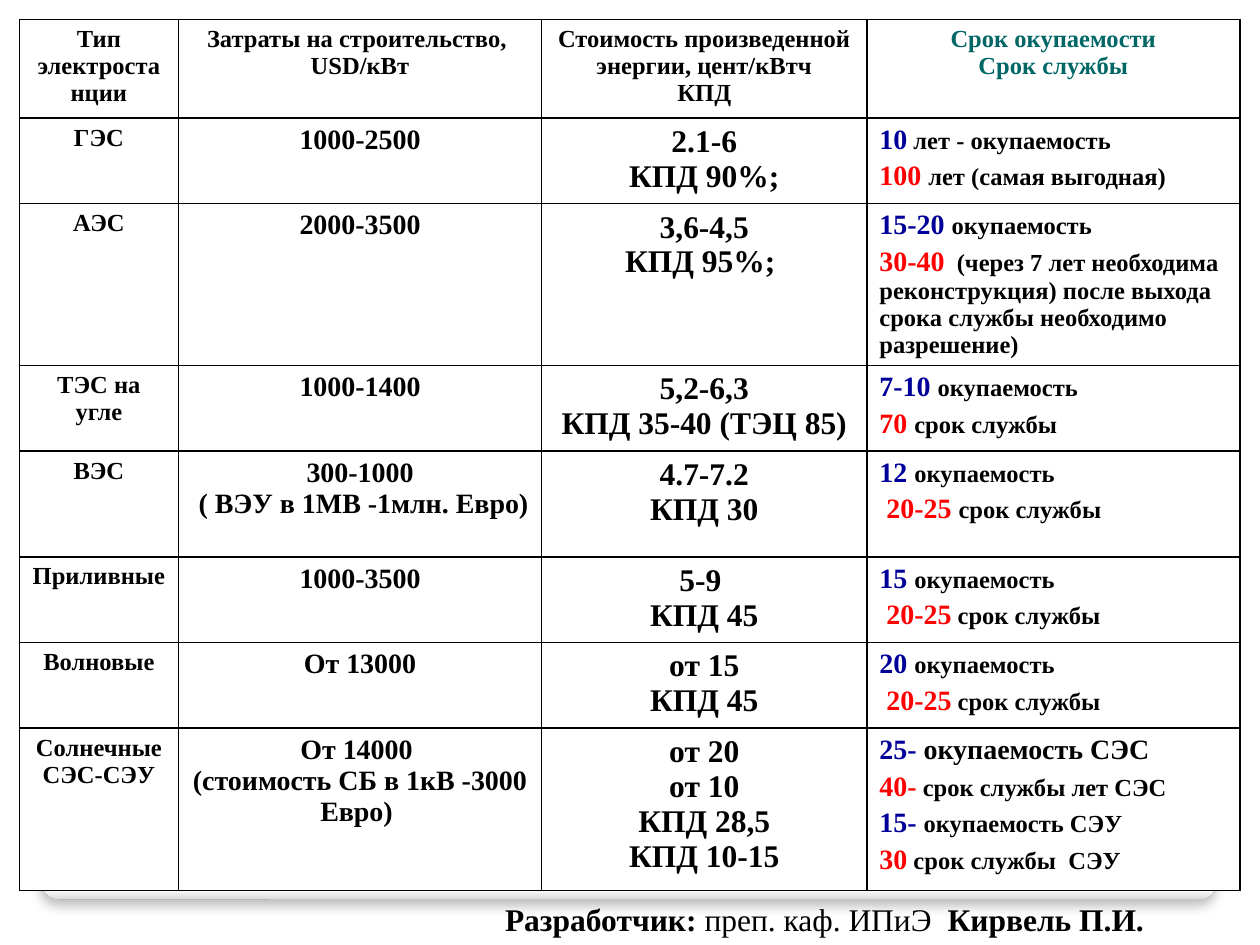
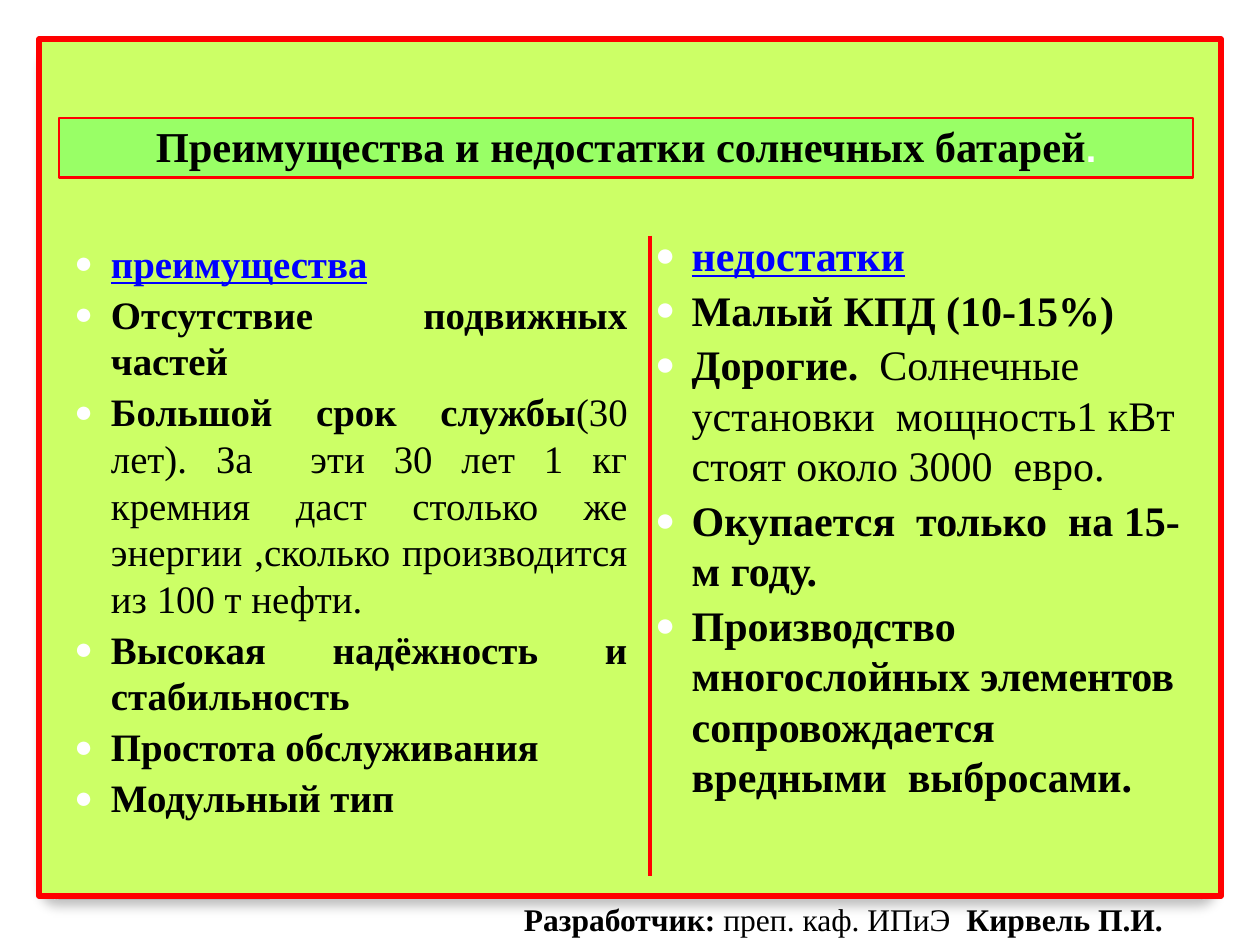
"""Builds two slides on power plant costs and on the pros and cons of solar panels."""
import pptx
import pptx.dml.color
import pptx.enum.shapes
import pptx.enum.text
import pptx.oxml
import pptx.oxml.ns
import pptx.util

SLIDE_WIDTH, SLIDE_HEIGHT = pptx.util.Inches(10), pptx.util.Inches(7.5)
ALIGN = pptx.enum.text.PP_ALIGN
ANCHOR = pptx.enum.text.MSO_ANCHOR
SHAPE = pptx.enum.shapes.MSO_SHAPE

THEME = {
    "font": "Times New Roman",
    "bullet_font": "Arial",
    "colors": {
        "text": "000000", "paper": "FFFFFF", "header": "006666", "payback": "000099",
        "service": "FF0000", "heading": "0000FF", "accent": "FF0000",
        "panel": "CCFF66", "title": "99FF66", "card_line": "A4A4A4",
    },
    "sizes": {
        "label": 14, "cost": 16, "energy": 18, "footer": 18, "title": 24.3,
        "title_dot": 21.6, "advantages": 22.2, "disadvantages": 24,
    },
    "card_stops": [(0, "FFFFFF"), (98, "FFFFFF"), (99, "F7F7F7"), (100, "DADADA")],
}

TABLE_CORNER = (1.55, 2.08)
COLUMN_SHARES = (12.6, 28.85, 25.8, 29.6)
ROW_SHARES = (10.4, 9.07, 17.07, 9.07, 11.2, 9.07, 9.07, 17.2)
HEADERS = (
    ["Тип электростанции"],
    ["Затраты на строительство, ", "USD/кВт"],
    ["Стоимость произведенной энергии, цент/кВтч", "КПД"],
    ["Срок окупаемости", "Срок службы"],
)
PLANTS = (
    (["ГЭС"], ["1000-2500"], ["2.1-6", "КПД 90%;"],
     [("10", " лет - окупаемость"), ("100 ", "лет (самая выгодная)")]),
    (["АЭС"], ["2000-3500"], ["3,6-4,5", "КПД 95%; "],
     [("15-20 ", "окупаемость"),
      ("30-40", "  (через 7 лет необходима реконструкция) после выхода "
                "срока службы необходимо разрешение)")]),
    (["ТЭС на угле"], ["1000-1400"], ["5,2-6,3", "КПД 35-40 (ТЭЦ 85)"],
     [("7-10 ", "окупаемость"), ("70 ", "срок службы")]),
    (["ВЭС"], ["300-1000", " ( ВЭУ в 1МВ -1млн. Евро)"], ["4.7-7.2", "КПД 30"],
     [("12 ", "окупаемость"), (" 20-25 ", "срок службы")]),
    (["Приливные"], ["1000-3500"], ["5-9 ", "КПД 45"],
     [("15 ", "окупаемость"), (" 20-25", " срок службы")]),
    (["Волновые"], ["От 13000"], ["от 15", "КПД 45"],
     [("20 ", "окупаемость"), (" 20-25", " срок службы")]),
    (["Солнечные", "СЭС-СЭУ"], ["От 14000 ", "(стоимость СБ в 1кВ -3000 Евро) "],
     ["от 20", "от 10", "КПД 28,5", "КПД 10-15"],
     [("25- ", "окупаемость СЭС", "cost"), ("40-", " срок службы лет СЭС"),
      ("15- ", "окупаемость СЭУ"), ("30", " срок службы  СЭУ")]),
)

TITLE = "Преимущества и недостатки солнечных батарей"
LISTS = (
    {"size": "advantages", "box": (3.9, 24, 46.9, 59.33), "align": ALIGN.JUSTIFY,
     "heading": "преимущества",
     "items": [
         ("Отсутствие подвижных частей", ""),
         ("Большой срок службы",
          "(30 лет). За  эти 30 лет 1 кг кремния даст столько же энергии "
          ",сколько производится из 100 т нефти."),
         ("Высокая надёжность и стабильность", ""),
         ("Простота обслуживания", ""),
         ("Модульный тип", "")]},
    {"size": "disadvantages", "box": (50, 22.93, 45.3, 64.53), "align": ALIGN.LEFT,
     "heading": "недостатки",
     "items": [
         ("Малый КПД (10-15%)", ""),
         ("Дорогие.  ", "Солнечные установки  мощность1 кВт  стоят около 3000  евро."),
         ("Окупается  только  на 15-м году.", ""),
         ("Производство многослойных элементов сопровождается  вредными  выбросами.", "")]},
)
FOOTER = (("Разработчик: ", True), ("преп. каф. ИПиЭ  ", False), ("Кирвель П.И.", True))


def across(share):
    return int(SLIDE_WIDTH * share / 100)


def down(share):
    return int(SLIDE_HEIGHT * share / 100)


def place(left, top, width, height):
    return across(left), down(top), across(width), down(height)


def color(name):
    return pptx.dml.color.RGBColor.from_string(THEME["colors"][name])


def set_format(target, values):
    for name, value in values.items():
        setattr(target, name, value)


def xml(markup):
    tag, rest = markup[1:].split(" ", 1)
    return pptx.oxml.parse_xml(f"<{tag} {pptx.oxml.ns.nsdecls('a')} {rest}")


def add_run(paragraph, text, size, ink="text", **values):
    run = paragraph.add_run()
    run.text = text
    set_format(run.font, {"name": THEME["font"], "size": pptx.util.Pt(THEME["sizes"][size]),
                          "bold": True, **values})
    run.font.color.rgb = color(ink)


def paragraphs(frame, count):
    return [frame.paragraphs[0]] + [frame.add_paragraph() for _ in range(count - 1)]


def add_box(slide, kind, box, fill, line, width):
    shape = slide.shapes.add_shape(kind, *place(*box))
    shape.shadow.inherit = False
    shape.fill.solid()
    shape.fill.fore_color.rgb = color(fill)
    shape.line.color.rgb = color(line)
    shape.line.width = pptx.util.Pt(width)
    return shape


def add_card(slide):
    card = add_box(slide, SHAPE.ROUNDED_RECTANGLE, (3.3, 4.8, 93.3, 90.4),
                   "paper", "card_line", 0.16)
    card.adjustments[0] = 0.02
    stops = "".join(f'<a:gs pos="{position * 1000}"><a:srgbClr val="{tone}"/></a:gs>'
                    for position, tone in THEME["card_stops"])
    properties = card.element.spPr
    solid = properties.find(pptx.oxml.ns.qn("a:solidFill"))
    properties.replace(solid, xml(
        f'<a:gradFill rotWithShape="1"><a:gsLst>{stops}</a:gsLst>'
        '<a:lin ang="5400000" scaled="0"/></a:gradFill>'))
    effects = properties.find(pptx.oxml.ns.qn("a:effectLst"))
    effects.append(xml(
        f'<a:outerShdw blurRad="{pptx.util.Pt(6)}" dist="{pptx.util.Pt(4)}" dir="5400000" '
        'algn="t" rotWithShape="0"><a:srgbClr val="000000"><a:alpha val="25000"/>'
        '</a:srgbClr></a:outerShdw>'))


def add_footer(slide, left):
    frame = slide.shapes.add_textbox(*place(left, 94.6, 55.5, 5.33)).text_frame
    frame.word_wrap = True
    for text, bold in FOOTER:
        add_run(frame.paragraphs[0], text, "footer", bold=bold)


def style_cell(cell):
    cell.fill.solid()
    cell.fill.fore_color.rgb = color("paper")
    properties = cell._tc.get_or_add_tcPr()
    for index, side in enumerate(("lnL", "lnR", "lnT", "lnB")):
        properties.insert(index, xml(
            f'<a:{side} w="{pptx.util.Pt(1)}"><a:solidFill>'
            f'<a:srgbClr val="{THEME["colors"]["text"]}"/></a:solidFill></a:{side}>'))


def fill_lines(cell, lines, size, ink="text"):
    for paragraph, line in zip(paragraphs(cell.text_frame, len(lines)), lines):
        paragraph.alignment = ALIGN.CENTER
        add_run(paragraph, line, size, ink)


def fill_terms(cell, terms):
    for index, paragraph in enumerate(paragraphs(cell.text_frame, len(terms))):
        years, label, *label_size = terms[index]
        if index:
            paragraph.space_before = pptx.util.Pt(3.2)
        add_run(paragraph, years, "cost", ("payback", "service")[index % 2])
        add_run(paragraph, label, *(label_size or ["label"]))


def add_plant_table(slide):
    box = place(*TABLE_CORNER, sum(COLUMN_SHARES), sum(ROW_SHARES))
    table = slide.shapes.add_table(len(ROW_SHARES), len(COLUMN_SHARES), *box).table
    set_format(table, {"first_row": False, "horz_banding": False})
    for column, share in zip(table.columns, COLUMN_SHARES):
        column.width = across(share)
    for row, share in zip(table.rows, ROW_SHARES):
        row.height = down(share)
    for cell in table.iter_cells():
        style_cell(cell)
    for index, lines in enumerate(HEADERS):
        fill_lines(table.cell(0, index), lines, "label", "header" if index == 3 else "text")
    for row, (*columns, terms) in enumerate(PLANTS, 1):
        for index, size in enumerate(("label", "cost", "energy")):
            fill_lines(table.cell(row, index), columns[index], size)
        fill_terms(table.cell(row, 3), terms)


def add_title(slide):
    title = add_box(slide, SHAPE.RECTANGLE, (4.7, 12.5, 90, 6.27), "title", "accent", 1.5)
    set_format(title.text_frame, {"word_wrap": True, "vertical_anchor": ANCHOR.BOTTOM})
    paragraph = title.text_frame.paragraphs[0]
    paragraph.alignment = ALIGN.CENTER
    add_run(paragraph, TITLE, "title")
    add_run(paragraph, ".", "title_dot", "paper", name=THEME["bullet_font"])


def add_bullet(paragraph):
    properties = paragraph._p.get_or_add_pPr()
    indent = pptx.util.Inches(0.29)
    properties.set("marL", str(indent))
    properties.set("indent", str(-indent))
    for markup in (f'<a:buClr ><a:srgbClr val="{THEME["colors"]["paper"]}"/></a:buClr>',
                   '<a:buSzPct val="80000"/>',
                   f'<a:buFont typeface="{THEME["bullet_font"]}"/>',
                   '<a:buChar char="●"/>'):
        properties.append(xml(markup))


def add_list(slide, content):
    frame = slide.shapes.add_textbox(*place(*content["box"])).text_frame
    set_format(frame, {"word_wrap": True, "margin_left": pptx.util.Inches(0.2),
                       "margin_top": pptx.util.Inches(0.1)})
    heading, *items = paragraphs(frame, len(content["items"]) + 1)
    for paragraph in (heading, *items):
        add_bullet(paragraph)
    add_run(heading, content["heading"], content["size"], "heading", underline=True)
    for paragraph, (strong, plain) in zip(items, content["items"]):
        set_format(paragraph, {"space_before": pptx.util.Pt(2.5), "alignment": content["align"]})
        add_run(paragraph, strong, content["size"])
        if plain:
            add_run(paragraph, plain, content["size"], bold=False)


def add_divider(slide):
    line = slide.shapes.add_connector(pptx.enum.shapes.MSO_CONNECTOR.STRAIGHT,
                                      across(51.6), down(24.93), across(51.6), down(92.67))
    line.line.color.rgb = color("accent")
    line.line.width = pptx.util.Pt(2.25)
    line.element.spPr.append(xml("<a:effectLst />"))


def add_slide(presentation):
    slide = presentation.slides.add_slide(presentation.slide_layouts[6])
    add_card(slide)
    return slide


def main():
    presentation = pptx.Presentation()
    set_format(presentation, {"slide_width": SLIDE_WIDTH, "slide_height": SLIDE_HEIGHT})

    costs = add_slide(presentation)
    add_plant_table(costs)
    add_footer(costs, 39.1)

    solar = add_slide(presentation)
    add_box(solar, SHAPE.RECTANGLE, (3.1, 4.13, 93.8, 90.67), "panel", "accent", 3.35)
    add_title(solar)
    for content in LISTS:
        add_list(solar, content)
    add_divider(solar)
    add_footer(solar, 40.6)

    presentation.save("out.pptx")


if __name__ == "__main__":
    main()
